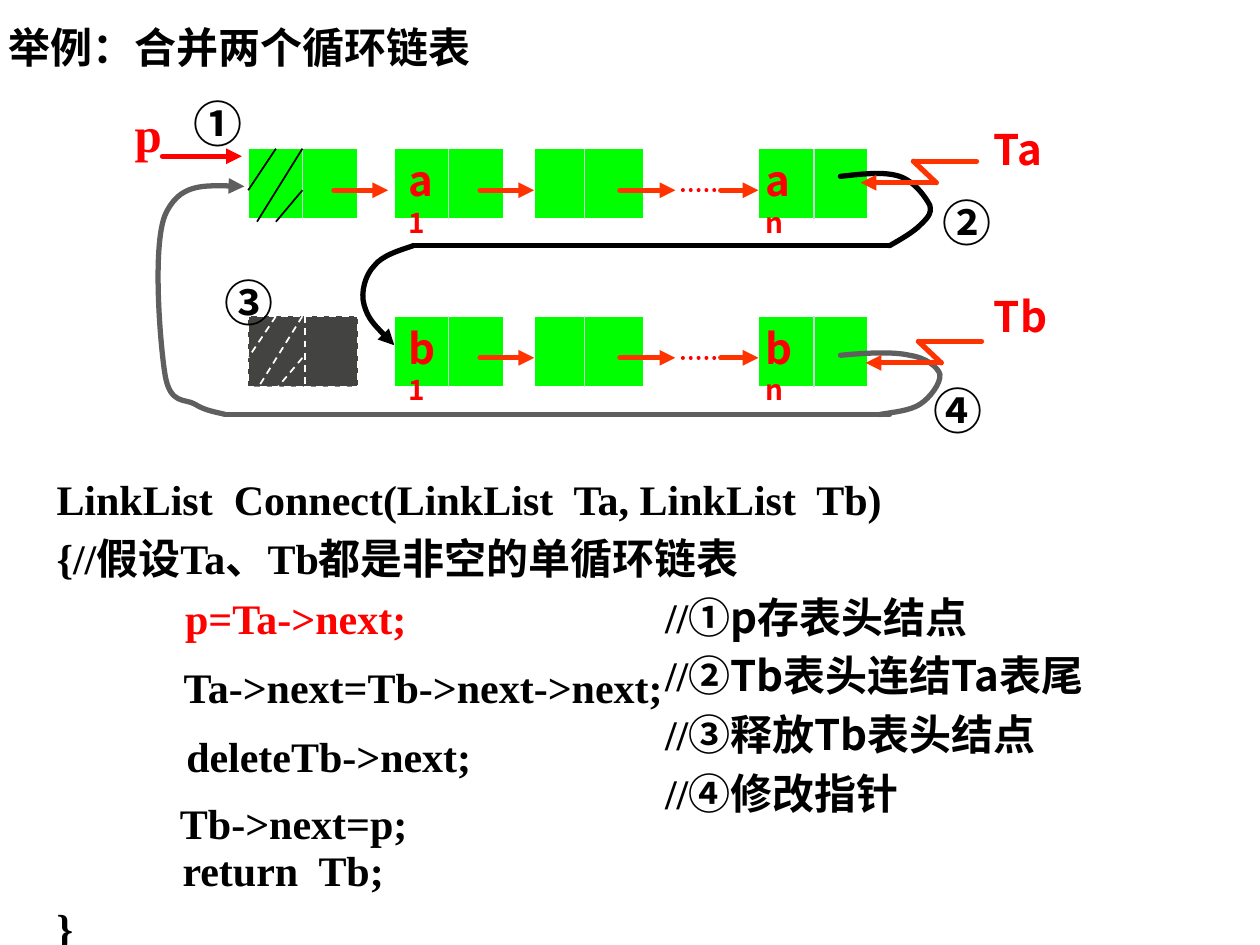
from pptx import Presentation
from pptx.dml.color import RGBColor
from pptx.enum.dml import MSO_LINE
from pptx.enum.shapes import MSO_CONNECTOR, MSO_SHAPE
from pptx.enum.text import MSO_AUTO_SIZE
from pptx.oxml.ns import qn
from pptx.util import Inches, Pt
from lxml import etree

STRAIGHT = MSO_CONNECTOR.STRAIGHT
RECTANGLE = MSO_SHAPE.RECTANGLE
GROW = MSO_AUTO_SIZE.SHAPE_TO_FIT_TEXT
DASH = MSO_LINE.DASH
DOTS = MSO_LINE.ROUND_DOT
SERIF, SANS = "Times New Roman", "Noto Sans CJK SC"
BLACK, WHITE, RED, ORANGE = "000000", "FFFFFF", "FF0000", "FF3300"
GREEN, DARK, GRAY, DIVIDER = "00FF00", "434342", "5F5F5F", "CDD7D9"
ROW_TOPS = (1.18, 2.51)
NODE_LEFTS = (1.97, 3.13, 4.24, 6.02)
DIVIDER_XS = (2.4, 3.56, 4.64, 6.46)
LINKS = ((2.65, 3.08), (3.81, 4.24), (4.92, 5.36), (5.72, 6.02))


def color(value):
    """Turn a hex string into a colour."""
    return RGBColor.from_string(value)


def apply(target, values):
    """Set each named attribute on the target."""
    for name, value in values.items():
        setattr(target, name, value)


class SlideBuilder:
    """Hold the text style and the slide, and add elements to it."""

    def __init__(self, slide):
        """Keep the slide and the common font values."""
        self.shapes = slide.shapes
        self.font = {"bold": True, "size": Pt(24), "name": SERIF}

    def stroke(self, shape, hex_color, width, dash=None, arrow=False):
        """Style the outline of a shape, with an optional arrowhead."""
        shape.line.color.rgb = color(hex_color)
        apply(shape.line, {"width": Pt(width), "dash_style": dash})
        outline = shape.line._ln
        if width > 1:
            outline.set("cap", "rnd")
        if arrow:
            etree.SubElement(outline, qn("a:tailEnd"), type="triangle")

    def node(self, left, top, fill=GREEN, dash=None):
        """Add one list node."""
        shape = self.shapes.add_shape(
            RECTANGLE, Inches(left), Inches(top), Inches(0.87), Inches(0.56))
        shape.shadow.inherit = False
        shape.fill.solid()
        shape.fill.fore_color.rgb = color(fill)
        self.stroke(shape, WHITE, 1, dash)

    def line(self, start, end, hex_color, width=3, dash=None, arrow=False):
        """Add a straight line or arrow."""
        connector = self.shapes.add_connector(
            STRAIGHT, *(Inches(value) for value in (*start, *end)))
        self.stroke(connector, hex_color, width, dash, arrow)
        etree.SubElement(connector._element.spPr, qn("a:effectLst"))

    def curve(self, points, hex_color, arrow=False):
        """Add a Bezier curve: a start point, then three points a segment."""
        start, *others = [(Inches(x), Inches(y)) for x, y in points]
        builder = self.shapes.build_freeform(*start)
        builder.add_line_segments(others, close=False)
        shape = builder.convert_to_shape()
        shape.shadow.inherit = False
        shape.fill.background()
        self.stroke(shape, hex_color, 3, arrow=arrow)
        outline = next(shape._element.iter(qn("a:path")))
        steps = outline.findall(qn("a:lnTo"))
        for index in range(0, len(steps), 3):
            bezier = etree.SubElement(outline, qn("a:cubicBezTo"))
            for step in steps[index:index + 3]:
                bezier.append(step[0])
                outline.remove(step)

    def text(self, box, paragraphs, wrap=True, **formats):
        """Add a text box of (runs, paragraph formats, indent) entries."""
        frame = self.shapes.add_textbox(
            *(Inches(value) for value in box)).text_frame
        apply(frame, {"word_wrap": wrap, "auto_size": GROW})
        for index, (runs, layout, indent) in enumerate(paragraphs):
            paragraph = frame.add_paragraph() if index else frame.paragraphs[0]
            apply(paragraph, {"space_before": Pt(4.8), **layout})
            if indent:
                properties = paragraph._p.get_or_add_pPr()
                properties.set("marL", str(Inches(indent)))
                properties.set("indent", "0")
            for words, run_formats in runs:
                self.run(paragraph, words, {**formats, **run_formats})

    def run(self, paragraph, words, formats):
        """Add one run with its font, size and colour."""
        values = {**self.font, **formats}
        hex_color = values.pop("hex_color", BLACK)
        run = paragraph.add_run()
        run.text = words
        apply(run.font, values)
        run.font.color.rgb = color(hex_color)
        etree.SubElement(run._r.get_or_add_rPr(), qn("a:ea"), typeface=SANS)

    def label(self, box, words, wrap=True, **formats):
        """Add a text box with a single run."""
        self.text(box, [([(words, {})], {}, 0)], wrap, **formats)

    def linked_list(self, top, letter, freed):
        """Add one row of nodes with its links and element names."""
        middle, bottom = top + 0.33, top + 0.56
        dash = DASH if freed else None
        for index, (left, x) in enumerate(zip(NODE_LEFTS, DIVIDER_XS)):
            head = freed and index == 0
            self.node(left, top, DARK if head else GREEN, dash if head else None)
            self.line((x + 0.02 * head, top), (x + 0.02 * head, bottom),
                      WHITE if head else DIVIDER, 1, dash if head else None)
        for start, end in LINKS[1:] if freed else LINKS:
            self.line((start, middle), (end, middle), ORANGE, arrow=True)
        self.line((5.42, middle), (5.67, middle), RED, 2.25, DOTS)
        for start, end in (((2.19, top), (1.97, middle)),
                           ((2.4, top), (2.04, top + 0.58)),
                           ((2.4, middle), (2.19, top + 0.58))):
            self.line(start, end, WHITE if freed else BLACK, 1, dash)
        for left, suffix in ((3.14, "1"), (5.98, "n")):
            runs = [(letter, {}), (suffix, {"size": Pt(16)})]
            self.text((left, top, 0.5, 0.5), [(runs, {}, 0)],
                      name=SANS, hex_color=RED)

    def zigzag(self, right, top):
        """Add a jagged pointer that ends in an arrow to the left."""
        bend = (right - 0.5, top)
        tip = (right - 0.32, top + 0.17)
        self.line((right, top), bend, ORANGE)
        self.line(bend, tip, ORANGE)
        self.line(tip, (right - 0.92, top + 0.17), ORANGE, arrow=True)


def main():
    """Build the slide on merging two circular linked lists."""
    presentation = Presentation()
    apply(presentation, {"slide_width": Inches(10), "slide_height": Inches(7.5)})
    slide = presentation.slides.add_slide(presentation.slide_layouts[6])
    builder = SlideBuilder(slide)

    for top, letter, freed in zip(ROW_TOPS, "ab", (False, True)):
        builder.linked_list(top, letter, freed)

    builder.line((3.28, 1.95), (7.06, 1.95), BLACK)
    builder.curve([(3.28, 1.95), (3.16, 1.99), (3.03, 2.03), (2.97, 2.11),
                   (2.9, 2.18), (2.86, 2.32), (2.89, 2.42),
                   (2.92, 2.53), (3.02, 2.63), (3.13, 2.74)], BLACK, arrow=True)
    builder.curve([(6.67, 1.4), (6.85, 1.38), (7.02, 1.36), (7.14, 1.4),
                   (7.26, 1.44), (7.35, 1.57), (7.38, 1.63),
                   (7.4, 1.7), (7.35, 1.74), (7.3, 1.79),
                   (7.25, 1.84), (7.15, 1.9), (7.06, 1.95)], BLACK)
    builder.line((1.79, 3.29), (7.06, 3.29), GRAY)
    builder.curve([(6.67, 2.82), (6.88, 2.8), (7.09, 2.79), (7.22, 2.82),
                   (7.35, 2.84), (7.44, 2.91), (7.46, 2.97),
                   (7.47, 3.04), (7.38, 3.16), (7.3, 3.21),
                   (7.22, 3.26), (7.1, 3.27), (6.98, 3.29)], GRAY)
    builder.curve([(1.79, 3.29), (1.71, 3.27), (1.63, 3.26), (1.55, 3.21),
                   (1.47, 3.16), (1.35, 3.22), (1.31, 2.97),
                   (1.27, 2.72), (1.21, 1.96), (1.31, 1.71),
                   (1.42, 1.46), (1.68, 1.47), (1.94, 1.48)], GRAY, arrow=True)

    for left, top, number in ((1.44, 0.69, "①"), (7.38, 1.48, "②"),
                              (1.68, 2.11, "③"), (7.31, 2.97, "④")):
        builder.label((left, top, 0.44, 0.38), number, False,
                      name=SANS, size=Pt(28))
    builder.line((1.29, 1.24), (1.92, 1.24), RED, arrow=True)
    builder.label((0.97, 0.77, 0.48, 0.57), "p", size=Pt(28), hex_color=RED)
    for top, name in zip(ROW_TOPS, ("Ta", "Tb")):
        builder.label((7.79, top - 0.25, 0.75, 0.5), name,
                      name=SANS, hex_color=RED)

    comments = ("①p存表头结点", "②Tb表头连结Ta表尾", "③释放Tb表头结点", "④修改指针")
    code = [([("LinkList  Connect(LinkList  Ta, LinkList  Tb)", {})], {}, 0),
            ([("{//假设Ta、Tb都是非空的单循环链表", {})], {}, 0)]
    code += [([("//", {}), (comment, {"name": SANS})], {}, 4.83)
             for comment in comments]
    code += [([("return  Tb;", {})], {"space_before": Pt(15)}, 1),
             ([("}", {})], {}, 0)]
    builder.text((0.35, 3.71, 8.78, 4.03), code)
    for left, top, width, statement, hex_color in (
            (1.37, 4.65, 1.99, "p=Ta->next;", RED),
            (1.36, 5.2, 4.03, "Ta->next=Tb->next->next;", BLACK),
            (1.38, 5.75, 2.49, "deleteTb->next;", BLACK),
            (1.33, 6.28, 2.09, "Tb->next=p;", BLACK)):
        builder.label((left, top, width, 0.5), statement, False,
                      hex_color=hex_color)

    builder.zigzag(7.79, 2.71)
    builder.zigzag(7.75, 1.28)
    title = [("举例：合并两个循环链表", {})]
    builder.text((-0.03, 0, 3.92, 0.63),
                 [(title, {"line_spacing": 1.3, "space_before": Pt(8)}, 0)], False)
    presentation.save("out.pptx")


if __name__ == "__main__":
    main()
